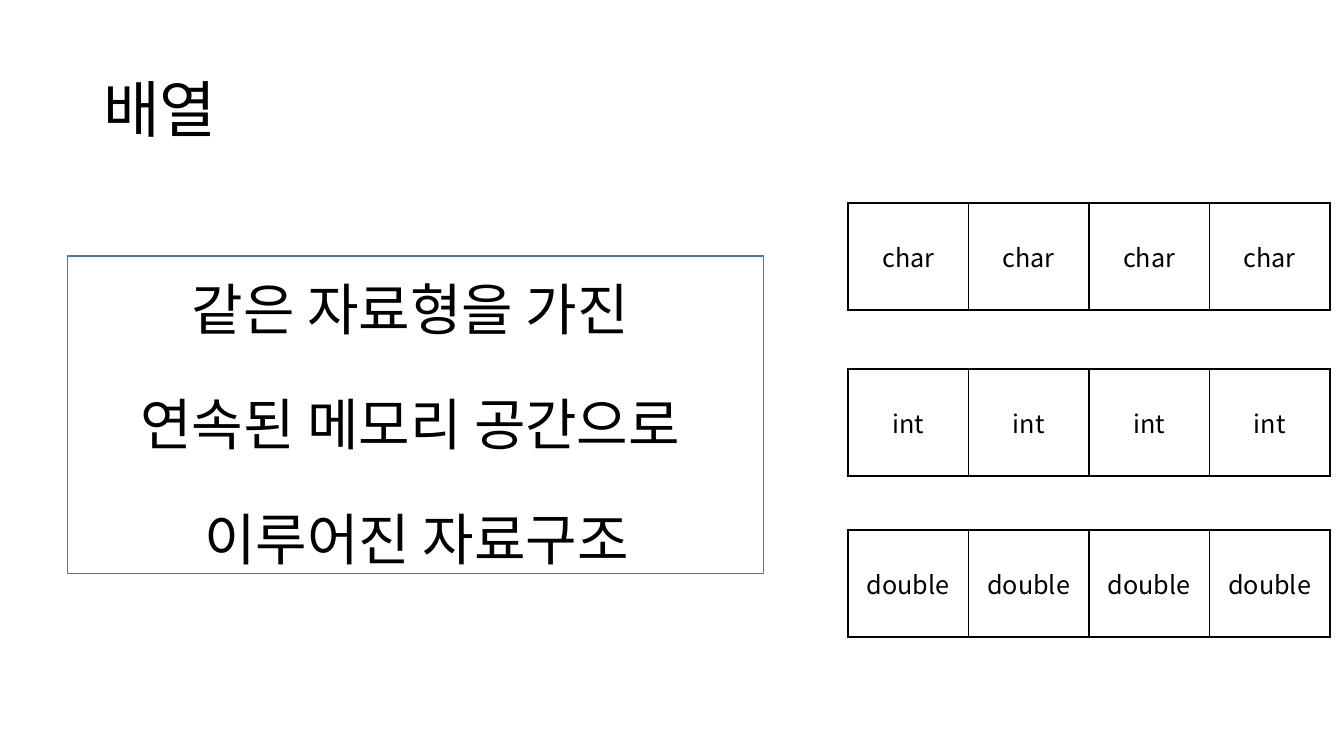
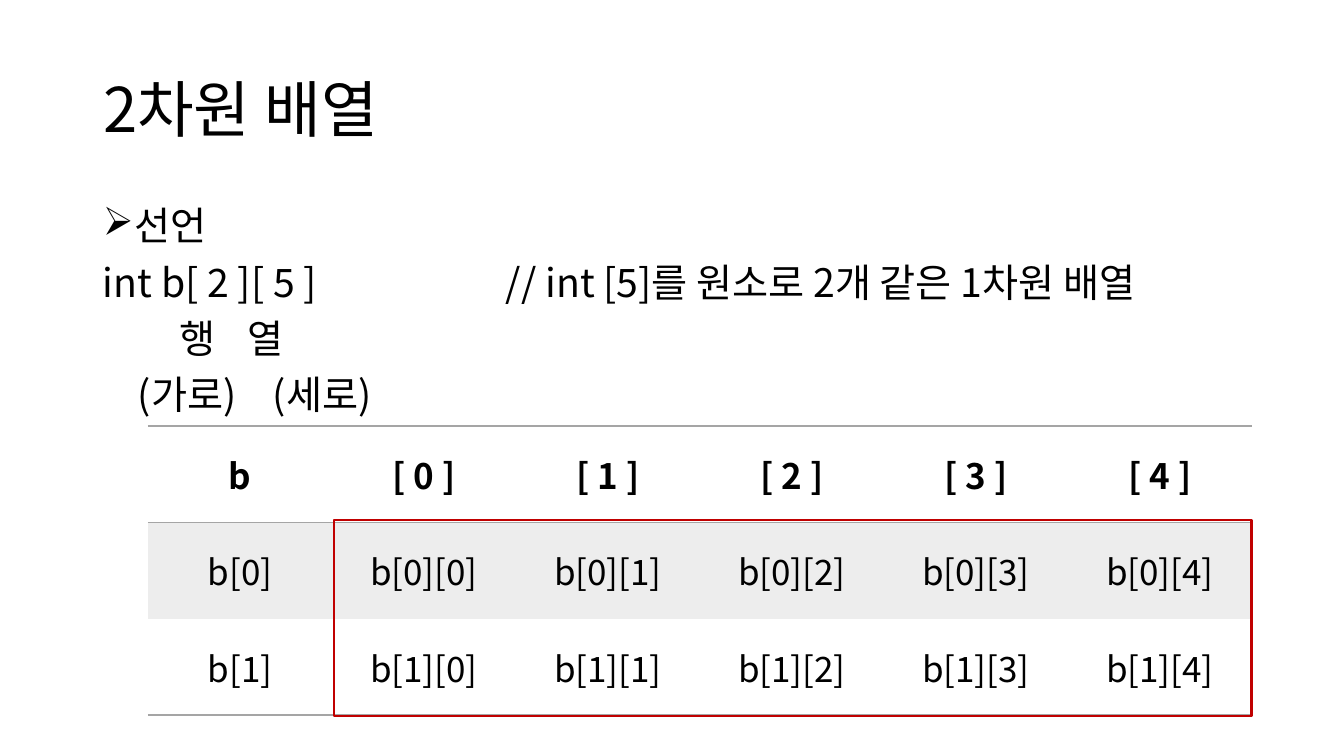
from lxml import etree
from pptx import Presentation
from pptx.dml.color import RGBColor
from pptx.enum.shapes import MSO_SHAPE
from pptx.enum.text import MSO_ANCHOR, MSO_AUTO_SIZE, PP_ALIGN
from pptx.oxml.ns import qn
from pptx.util import Pt

SCALE = 914400 / 100.8  # EMU in one px
LEFT, CENTER = PP_ALIGN.LEFT, PP_ALIGN.CENTER
TOP, MIDDLE = MSO_ANCHOR.TOP, MSO_ANCHOR.MIDDLE
RECTANGLE, NO_AUTOFIT = MSO_SHAPE.RECTANGLE, MSO_AUTO_SIZE.NONE
TITLE_ONLY = 5
FONT = "Noto Sans CJK KR"
COLORS = {"text": "000000", "grid": "000000", "rule": "A5A5A5", "band": "EDEDED",
          "blue": "4472C4", "red": "C00000"}

# Paragraph and font formats
TITLE = ({"alignment": LEFT, "line_spacing": 0.9}, {"size": Pt(44)})
DEFINITION = ({"alignment": CENTER, "line_spacing": 1.5, "space_before": Pt(10)}, {"size": Pt(40)})
DECLARATION = ({"alignment": LEFT, "line_spacing": 0.9, "space_before": Pt(10)}, {"size": Pt(28)})
TYPE_CELL = ({"alignment": CENTER}, {"size": Pt(18), "bold": False})
INDEX_CELL = ({"alignment": CENTER}, {"size": Pt(25), "bold": False})
INDEX_HEADER = ({"alignment": CENTER}, {"size": Pt(25), "bold": True})

TITLE_BOX = (93, 40, 1159, 146)
BULLET_INDENT = 25

# Slide contents; a body line is its text, bullet and tab stops
COLUMNS = range(5)
index_rows = [["b"] + [f"[ {column} ]" for column in COLUMNS]]
index_rows += [[f"b[{row}]"] + [f"b[{row}][{column}]" for column in COLUMNS] for row in range(2)]

SLIDES = [
    {"title": "배열",
     "body_box": (-15, 236, 863, 480), "body_format": DEFINITION,
     "body": [("같은 자료형을 가진 ", "", []),
              ("연속된 메모리 공간으로 ", "", []),
              ("이루어진 자료구조", "", [])],
     "tables": [((848, top, 482, 107), [[name] * 4])
                for name, top in (("char", 203), ("int", 369), ("double", 530))],
     "row_styles": [(TYPE_CELL, None, {"L": "grid", "R": "grid", "T": "grid", "B": "grid"})],
     "frame": ((68, 256, 696, 318), "blue", 0.75)},
    {"title": "2차원 배열",
     "body_box": (93, 202, 1159, 480), "body_format": DECLARATION,
     "body": [("선언", "➢", []),
              ("int b[ 2 ][ 5 ]\t// int [5]를 원소로 2개 같은 1차원 배열", "", [403]),
              ("\t행\t열", "", [77, 145]),
              ("\t(가로)\t(세로)", "", [35, 170])],
     "tables": [((148, 426, 1104, 289), index_rows)],
     "row_styles": [(INDEX_HEADER, None, {"T": "rule", "B": "rule"}),
                    (INDEX_CELL, "band", {"T": "rule"}),
                    (INDEX_CELL, None, {"B": "rule"})],
     "frame": ((334, 520, 918, 196), "red", 2)},
]


def write(paragraph, text, text_format):
    """Fill a paragraph with one run in the shared font."""
    paragraph_format, font_format = text_format
    for name, value in paragraph_format.items():
        setattr(paragraph, name, value)
    run = paragraph.add_run()
    run.text = text
    for name, value in {"name": FONT, **font_format}.items():
        setattr(run.font, name, value)
    run.font.color.rgb = RGBColor.from_string(COLORS["text"])
    etree.SubElement(run.font._element, qn("a:ea"), typeface=FONT)


def set_borders(cell, borders):
    """Draw the named cell sides and hide the others."""
    properties = cell._tc.get_or_add_tcPr()
    for position, side in enumerate("LRTB"):
        line = etree.Element(qn(f"a:ln{side}"), w=str(Pt(1)))
        if side in borders:
            fill = etree.SubElement(line, qn("a:solidFill"))
            etree.SubElement(fill, qn("a:srgbClr"), val=COLORS[borders[side]])
        else:
            etree.SubElement(line, qn("a:noFill"))
        properties.insert(position, line)


presentation = Presentation()
presentation.slide_width = round(1344 * SCALE)
presentation.slide_height = round(756 * SCALE)

for content in SLIDES:
    slide = presentation.slides.add_slide(presentation.slide_layouts[TITLE_ONLY])

    # Title
    title = slide.shapes.title
    title.left, title.top, title.width, title.height = [round(value * SCALE) for value in TITLE_BOX]
    title.text_frame.vertical_anchor = MIDDLE
    title.text_frame.auto_size = NO_AUTOFIT
    write(title.text_frame.paragraphs[0], content["title"], TITLE)

    # Body text
    body = slide.shapes.add_textbox(*[round(value * SCALE) for value in content["body_box"]])
    body.text_frame.word_wrap = True
    body.text_frame.vertical_anchor = TOP
    for number, (text, bullet, tab_stops) in enumerate(content["body"]):
        paragraph = body.text_frame.add_paragraph() if number else body.text_frame.paragraphs[0]
        write(paragraph, text, content["body_format"])
        properties = paragraph._p.get_or_add_pPr()
        if bullet:
            indent = round(BULLET_INDENT * SCALE)
            properties.set("marL", str(indent))
            properties.set("indent", str(-indent))
            etree.SubElement(properties, qn("a:buChar"), char=bullet)
        if tab_stops:
            tab_list = etree.SubElement(properties, qn("a:tabLst"))
            for stop in tab_stops:
                etree.SubElement(tab_list, qn("a:tab"), pos=str(round(stop * SCALE)), algn="l")

    # Tables
    for box, rows in content["tables"]:
        left, top, width, height = [round(value * SCALE) for value in box]
        table = slide.shapes.add_table(len(rows), len(rows[0]), left, top, width, height).table
        table.first_row = table.horz_banding = False
        for row, (texts, row_style) in enumerate(zip(rows, content["row_styles"])):
            text_format, fill, borders = row_style
            for column, text in enumerate(texts):
                cell = table.cell(row, column)
                cell.vertical_anchor = MIDDLE
                write(cell.text_frame.paragraphs[0], text, text_format)
                if fill:
                    cell.fill.solid()
                    cell.fill.fore_color.rgb = RGBColor.from_string(COLORS[fill])
                else:
                    cell.fill.background()
                set_borders(cell, borders)

    # Outline frame
    box, color, weight = content["frame"]
    frame = slide.shapes.add_shape(RECTANGLE, *[round(value * SCALE) for value in box])
    frame.shadow.inherit = False
    frame.fill.background()
    frame.line.color.rgb = RGBColor.from_string(COLORS[color])
    frame.line.width = Pt(weight)

presentation.save("out.pptx")
